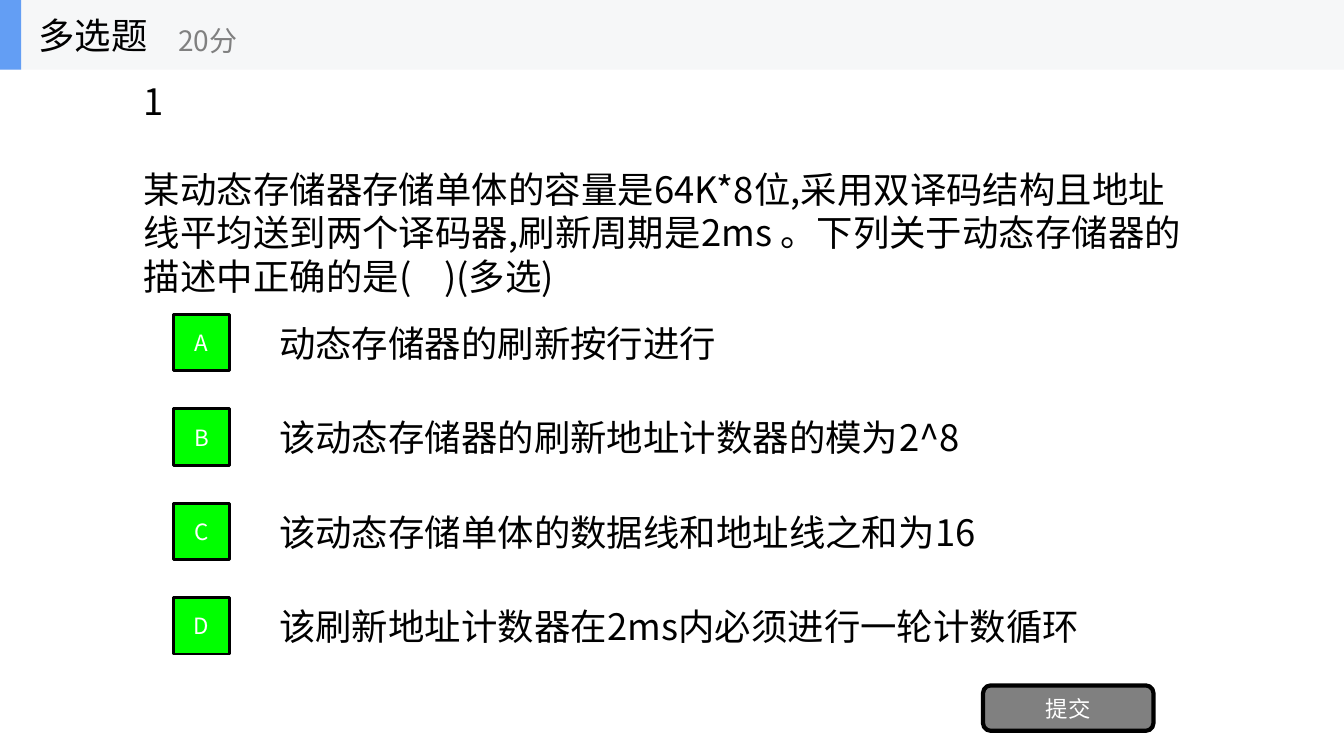
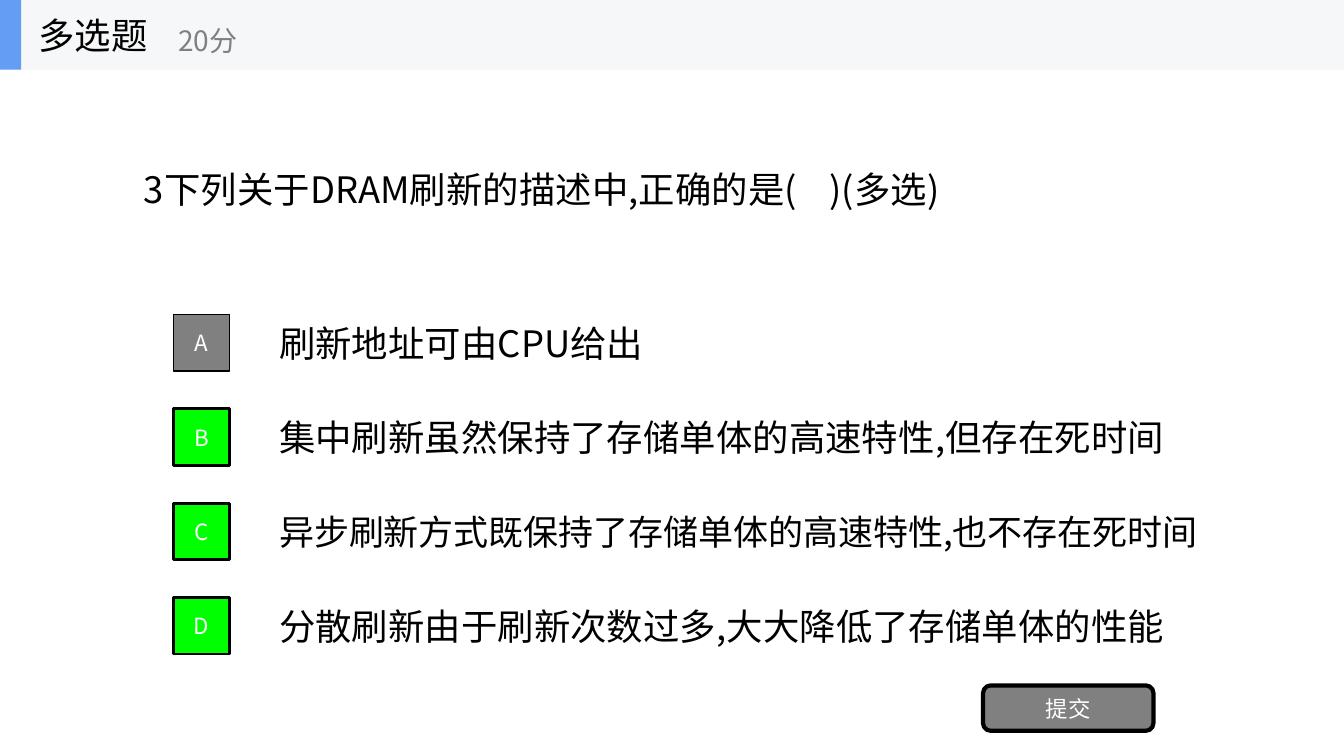
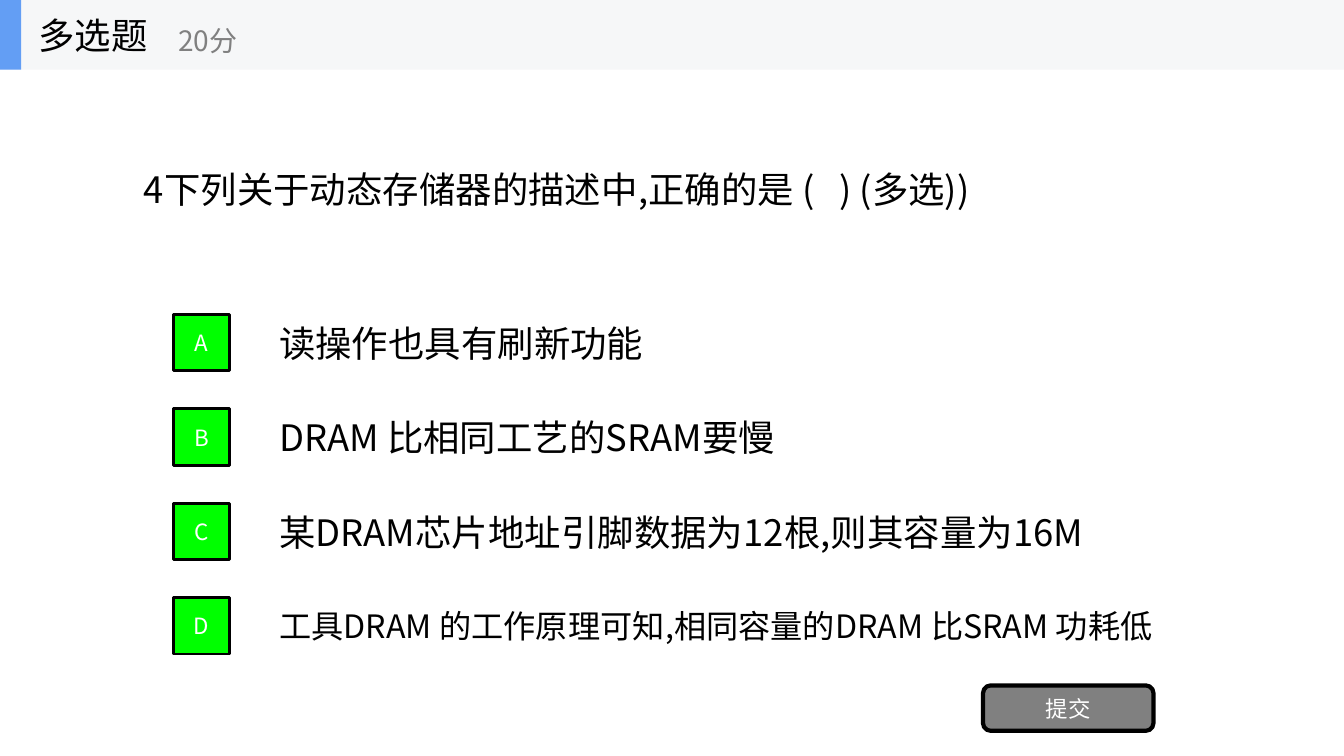
"""Build three multiple-choice quiz slides about dynamic memory."""
from pptx import Presentation, util as u
from pptx.dml.color import RGBColor
from pptx.enum import shapes as sh, text as tx
from pptx.oxml.ns import qn
from lxml import etree

FONT = "Noto Sans CJK SC"
BLACK, WHITE, GRAY = "000000", "FFFFFF", "808080"
CORRECT, BAND, ACCENT = "00FF00", "F6F7F8", "639EF4"
BODY, SMALL = 26, 16
HEADING, SCORE, SUBMIT = "多选题", "20分", "提交"
SLIDE_W, BAND_H = 13.33, 0.69
QUESTION_X, QUESTION_MID = 1.33, 1.87
OPTION_X, LETTER_X, LETTER_SIDE = 2.67, 1.72, 0.56
FIRST_LETTER_Y, LAST_LETTER_Y = 3.12, 5.93

QUIZZES = [
    {"question": ["1", "某动态存储器存储单体的容量是64K*8位,采用双译码结构且地址线平均送到两个译码器,"
                  "刷新周期是2ms 。下列关于动态存储器的描述中正确的是(    )(多选)"],
     "width": 10.5, "lines": 5,
     "options": [("动态存储器的刷新按行进行", 4.64, BODY, True),
                 ("该动态存储器的刷新地址计数器的模为2^8", 7.14, BODY, True),
                 ("该动态存储单体的数据线和地址线之和为16", 7.23, BODY, True),
                 ("该刷新地址计数器在2ms内必须进行一轮计数循环", 8.25, BODY, True)]},
    {"question": ["3下列关于DRAM刷新的描述中,正确的是(    )(多选)"],
     "width": 10.2, "lines": 1,
     "options": [("刷新地址可由CPU给出", 3.93, BODY, False),
                 ("集中刷新虽然保持了存储单体的高速特性,但存在死时间", 9.06, BODY, True),
                 ("异步刷新方式既保持了存储单体的高速特性,也不存在死时间", 9.31, 25, True),
                 ("分散刷新由于刷新次数过多,大大降低了存储单体的性能", 9.06, BODY, True)]},
    {"question": ["4下列关于动态存储器的描述中,正确的是 (   ) (多选))"],
     "width": 10.17, "lines": 1,
     "options": [("读操作也具有刷新功能", 3.92, BODY, True),
                 ("DRAM 比相同工艺的SRAM要慢", 5.47, BODY, True),
                 ("某DRAM芯片地址引脚数据为12根,则其容量为16M", 8.49, BODY, True),
                 ("工具DRAM 的工作原理可知,相同容量的DRAM 比SRAM 功耗低", 9.31, 23, True)]},
]


def color(hex_code):
    return RGBColor.from_string(hex_code)


def write(shape, paragraphs, size, ink, align=tx.PP_ALIGN.LEFT, gap=0):
    frame = shape.text_frame
    frame.word_wrap = True
    frame.vertical_anchor = tx.MSO_ANCHOR.MIDDLE
    for i, words in enumerate(paragraphs):
        para = frame.add_paragraph() if i else frame.paragraphs[0]
        para.alignment = align
        para.space_before = u.Pt(gap if i else 0)
        run = para.add_run()
        run.text = words
        run.font.name, run.font.size = FONT, u.Pt(size)
        run.font.color.rgb = color(ink)
        etree.SubElement(run.font._element, qn("a:ea"), typeface=FONT)


def add_text(slide, box, paragraphs, size, ink=BLACK, gap=0):
    label = slide.shapes.add_textbox(*map(u.Inches, box))
    write(label, paragraphs, size, ink, gap=gap)
    return label


def add_growing_text(slide, x, middle, width, paragraphs, size, lines=1):
    line_height = 1.2 * size
    height = lines * line_height / 72 + 0.1
    label = add_text(slide, (x, middle - height / 2, width, height),
                     paragraphs, size, gap=line_height)
    label.text_frame.auto_size = tx.MSO_AUTO_SIZE.SHAPE_TO_FIT_TEXT


def add_block(slide, box, fill, line_width=0, words=None, kind=sh.MSO_SHAPE.RECTANGLE):
    block = slide.shapes.add_shape(kind, *map(u.Inches, box))
    block.shadow.inherit = False
    block.fill.solid()
    block.fill.fore_color.rgb = color(fill)
    if line_width:
        block.line.color.rgb = color(BLACK)
        block.line.width = u.Pt(line_width)
    else:
        block.line.fill.background()
    if words:
        write(block, [words], SMALL, WHITE, tx.PP_ALIGN.CENTER)


def add_header(slide):
    add_block(slide, (0, 0, SLIDE_W, BAND_H), BAND)
    add_block(slide, (0, 0, 0.21, BAND_H), ACCENT)
    title = slide.shapes.title
    title.left, title.top, title.width, title.height = map(u.Inches, (0.28, 0, 2.08, BAND_H))
    write(title, [HEADING], BODY, BLACK)
    title.text_frame.auto_size = tx.MSO_AUTO_SIZE.NONE
    slide.shapes._spTree.append(title._element)
    add_text(slide, (1.67, 0.12, 2.5, 0.56), [SCORE], 20, GRAY)


def add_quiz(deck, quiz):
    slide = deck.slides.add_slide(deck.slide_layouts[5])
    add_growing_text(slide, QUESTION_X, QUESTION_MID, quiz["width"],
                     quiz["question"], BODY, quiz["lines"])
    pitch = (LAST_LETTER_Y - FIRST_LETTER_Y) / (len(quiz["options"]) - 1)
    for i, (words, width, size, correct) in enumerate(quiz["options"]):
        top = FIRST_LETTER_Y + i * pitch
        add_growing_text(slide, OPTION_X, top + LETTER_SIDE / 2, width, [words], size)
        add_block(slide, (LETTER_X, top, LETTER_SIDE, LETTER_SIDE),
                  CORRECT if correct else GRAY, 2 if correct else 1, "ABCD"[i])
    add_block(slide, (9.75, 6.8, 1.69, 0.45), GRAY, 3, SUBMIT, sh.MSO_SHAPE.ROUNDED_RECTANGLE)
    add_header(slide)


def main():
    deck = Presentation()
    deck.slide_width, deck.slide_height = u.Inches(SLIDE_W), u.Inches(7.5)
    for quiz in QUIZZES:
        add_quiz(deck, quiz)
    deck.save("out.pptx")


if __name__ == "__main__":
    main()
